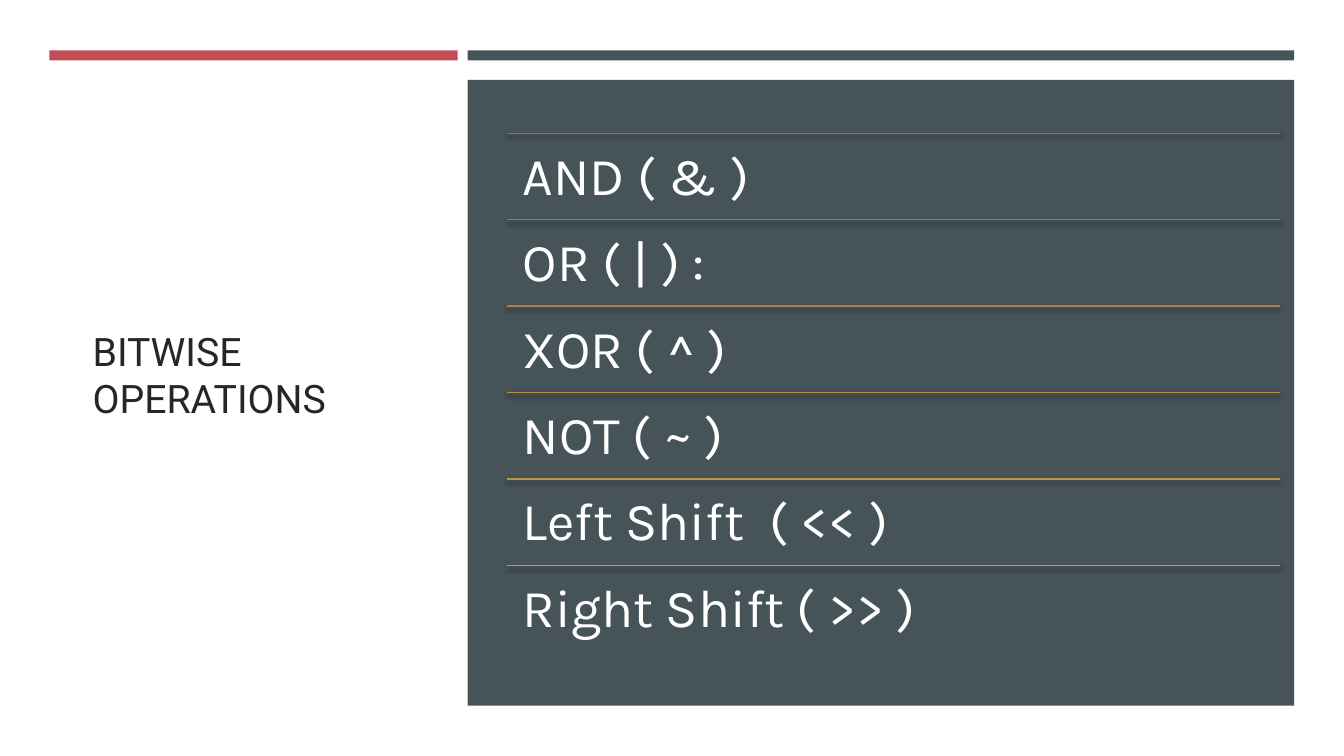
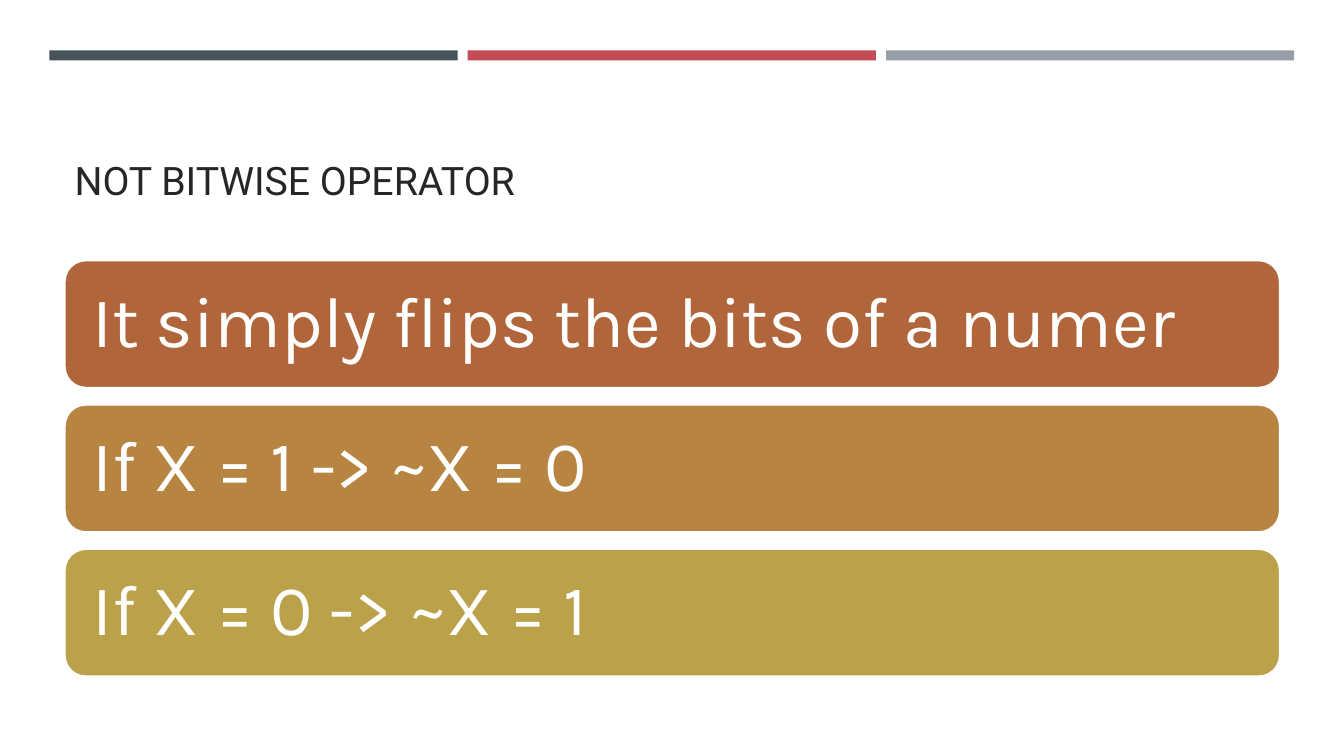
from lxml import etree
from pptx import Presentation
from pptx.dml.color import RGBColor
from pptx.enum import shapes, text
from pptx.oxml import ns
from pptx.util import Pt

# Shared style
C = {"white": "FFFFFF", "ink": "262626", "slate": "465359",
     "red": "C34D54", "grey": "969FA7"}
HEAD_FONT, BODY_FONT = "Roboto", "Karla"
BAND_X, BAND_Y, BAND_W, BAND_H, BAND_STEP = 35.3, 36, 291.6, 7.2, 298.8

prs = Presentation()
prs.slide_width, prs.slide_height = Pt(960), Pt(540)


def add_block(s, kind, x, y, w, h, color):
    sp = s.shapes.add_shape(kind, Pt(x), Pt(y), Pt(w), Pt(h))
    sp.shadow.inherit = False
    sp.fill.solid()
    sp.fill.fore_color.rgb = RGBColor.from_string(color)
    sp.line.fill.background()
    return sp


def set_text(sp, words, size, font, color, anchor, inset=None, spacing=1.0):
    tf = sp.text_frame
    tf.word_wrap = True
    tf.auto_size = text.MSO_AUTO_SIZE.NONE
    tf.vertical_anchor = anchor
    if inset is not None:
        tf.margin_left = tf.margin_right = Pt(inset)
        tf.margin_top = tf.margin_bottom = Pt(inset)
    p = tf.paragraphs[0]
    p.alignment = text.PP_ALIGN.LEFT
    p.line_spacing = spacing
    r = p.add_run()
    r.text = words
    r.font.size, r.font.name = Pt(size), font
    r.font.color.rgb = RGBColor.from_string(color)


# Both slides: title and top bands (column, columns spanned, colour)
RECT = shapes.MSO_SHAPE.RECTANGLE
frames = [
    ("BITWISE OPERATIONS", (59, 82.1, 240.5, 370.8), text.MSO_ANCHOR.MIDDLE,
     [(0, 1, "red"), (1, 2, "slate")]),
    ("NOT BITWISE OPERATOR", (46.1, 55.4, 868.3, 93.6), text.MSO_ANCHOR.BOTTOM,
     [(0, 1, "slate"), (1, 1, "red"), (2, 1, "grey")]),
]
for title, box, anchor, bands in frames:
    s = prs.slides.add_slide(prs.slide_layouts[5])
    s.background.fill.solid()
    s.background.fill.fore_color.rgb = RGBColor.from_string(C["white"])
    sp = s.shapes.title
    sp.left, sp.top, sp.width, sp.height = [Pt(v) for v in box]
    set_text(sp, title, 28, HEAD_FONT, C["ink"], anchor)
    for col, span, color in bands:
        add_block(s, RECT, BAND_X + col * BAND_STEP, BAND_Y,
                  BAND_W + (span - 1) * BAND_STEP, BAND_H, C[color])

operations, not_operator = prs.slides

# Slide 1: panel with ruled list of operators
add_block(operations, RECT, BAND_X + BAND_STEP, 57, BAND_W + BAND_STEP, 447, C["slate"])
ROW_X, ROW_Y, ROW_W, ROW_H = 362, 95.2, 552.4, 61.75
rows = [("AND ( & )", "B1653B"), ("OR ( | ) :", "B4713D"),
        ("XOR ( ^ )", "B67D40"), ("NOT ( ~ )", "B88A42"),
        ("Left Shift  ( << )", "BB9644"), ("Right Shift ( >> )", "BBA149")]
for i, (label, color) in enumerate(rows):
    y = ROW_Y + i * ROW_H
    rule = operations.shapes.add_connector(
        shapes.MSO_CONNECTOR.STRAIGHT, Pt(ROW_X), Pt(y), Pt(ROW_X + ROW_W), Pt(y))
    rule.line.color.rgb = RGBColor.from_string(color)
    rule.line.width = Pt(1)
    # Soft shadow straight below the rule
    effects = etree.SubElement(rule.element.spPr, ns.qn("a:effectLst"))
    shadow = etree.SubElement(effects, ns.qn("a:outerShdw"), blurRad=str(Pt(3)),
                              dist=str(Pt(2)), dir="5400000", rotWithShape="0")
    black = etree.SubElement(shadow, ns.qn("a:srgbClr"), val="000000")
    etree.SubElement(black, ns.qn("a:alpha"), val="55000")

    sp = operations.shapes.add_textbox(Pt(ROW_X), Pt(y), Pt(ROW_W), Pt(ROW_H))
    set_text(sp, label, 38, BODY_FONT, C["white"], text.MSO_ANCHOR.TOP, 11.4, 0.9)

# Slide 2: stacked cards
CARD_Y, CARD_H, CARD_STEP = 185.8, 91.4, 103.1
cards = [("It simply flips the bits of a numer", "B1653B"),
         ("If X = 1 -> ~X = 0", "B78441"),
         ("If X = 0 -> ~X = 1", "BBA149")]
for i, (label, color) in enumerate(cards):
    sp = add_block(not_operator, shapes.MSO_SHAPE.ROUNDED_RECTANGLE,
                   46.1, CARD_Y + i * CARD_STEP, 868.3, CARD_H, color)
    sp.line.color.rgb = RGBColor.from_string(C["white"])
    sp.line.width = Pt(1.75)
    set_text(sp, label, 51, BODY_FONT, C["white"], text.MSO_ANCHOR.MIDDLE, 15.3, 0.9)

prs.save("out.pptx")
